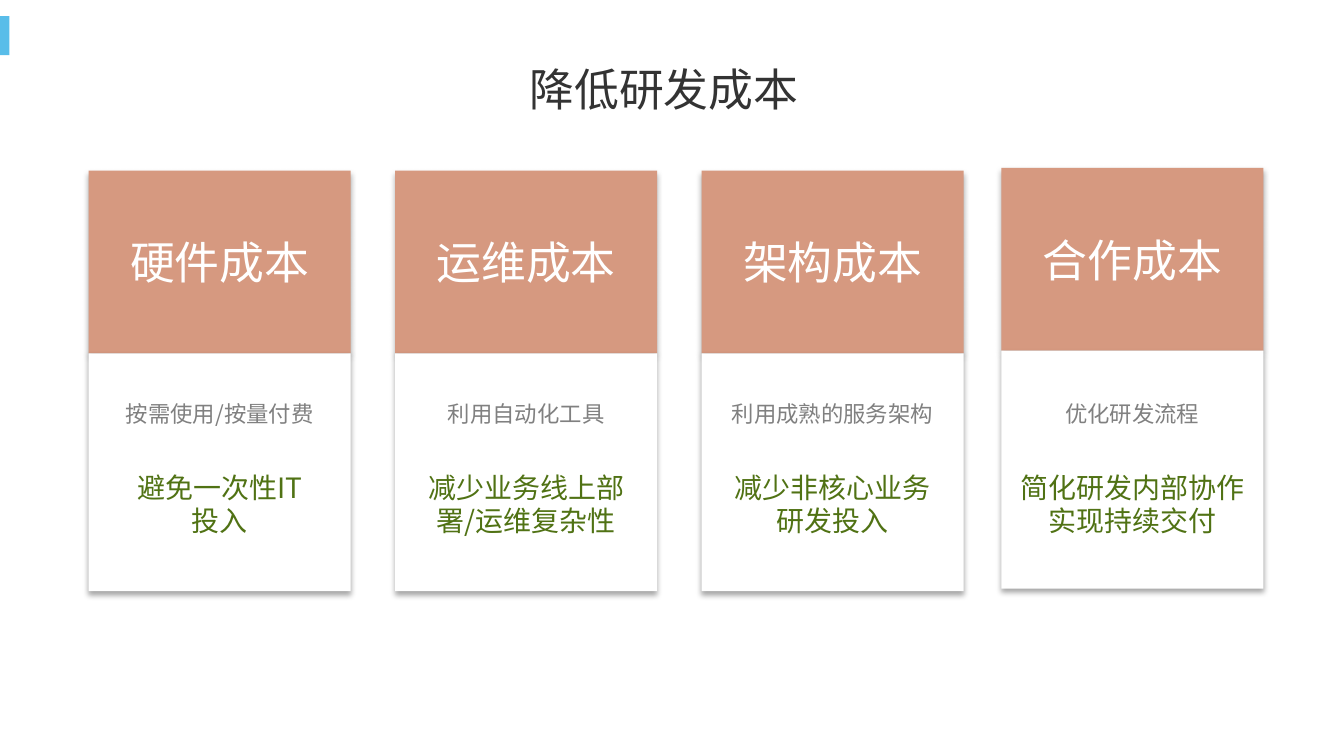
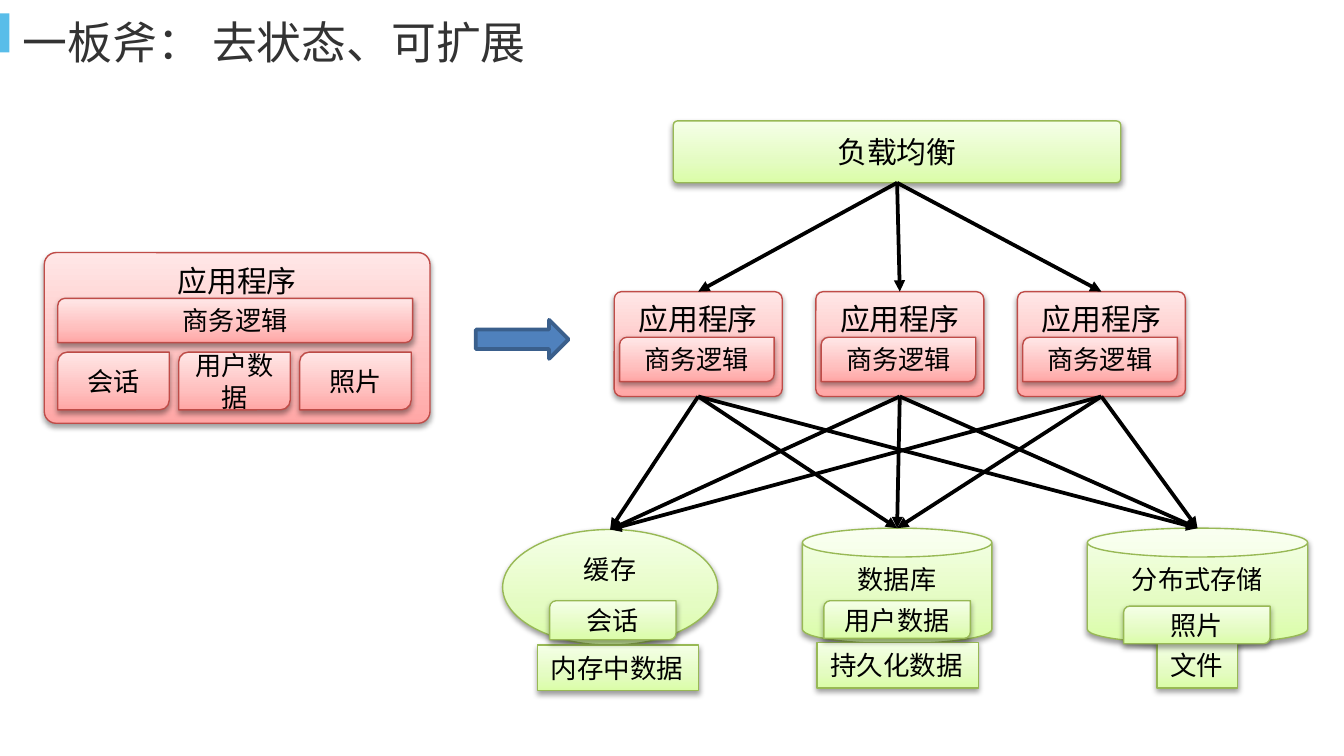
from dataclasses import dataclass

from lxml.etree import SubElement
from pptx import Presentation
from pptx.dml.color import RGBColor
from pptx.enum.shapes import MSO_CONNECTOR, MSO_SHAPE as Kind
from pptx.enum.text import MSO_ANCHOR as Anchor, MSO_AUTO_SIZE as AutoSize, PP_ALIGN as Align
from pptx.oxml.ns import qn
from pptx.shapes.autoshape import Shape
from pptx.shapes.connector import Connector
from pptx.slide import Slide
from pptx.util import Inches, Pt

CJK_FONT = "Noto Sans CJK SC"
LATIN_FONT = "Calibri"

BLACK = RGBColor(0x00, 0x00, 0x00)
WHITE = RGBColor(0xFF, 0xFF, 0xFF)
TITLE_GRAY = RGBColor(0x33, 0x33, 0x33)
NOTE_GRAY = RGBColor(0x80, 0x80, 0x80)
CLAIM_GREEN = RGBColor(0x50, 0x72, 0x14)
ACCENT_BLUE = RGBColor(0x59, 0xBD, 0xE9)
CARD_ORANGE = RGBColor(0xD6, 0x99, 0x80)
ARROW_BLUE = RGBColor(0x4F, 0x81, 0xBD)
ARROW_EDGE = RGBColor(0x3A, 0x5F, 0x8C)

CARD_WIDTH = 1.95
HEAD_HEIGHT = 1.36
BODY_HEIGHT = 1.77
PILL_HEIGHT = 0.33
CORNER = 0.07


@dataclass(frozen=True)
class Theme:
    stops: tuple[tuple[int, RGBColor], ...]
    edge: RGBColor


RED = Theme(
    ((0, RGBColor(0xFF, 0xA6, 0xA5)), (35, RGBColor(0xFF, 0xC0, 0xBF)),
     (100, RGBColor(0xFF, 0xE7, 0xE7))),
    RGBColor(0xBF, 0x4C, 0x48),
)
GREEN = Theme(
    ((0, RGBColor(0xDA, 0xFD, 0xA7)), (35, RGBColor(0xE4, 0xFC, 0xC2)),
     (100, RGBColor(0xF5, 0xFF, 0xE7))),
    RGBColor(0x98, 0xB9, 0x55),
)


@dataclass(frozen=True)
class Card:
    left: float
    top: float
    head: str
    note: str
    claim: str
    note_width: float
    claim_width: float


@dataclass(frozen=True)
class Box:
    kind: Kind
    left: float
    top: float
    width: float
    height: float
    text: str
    size: float = 14
    anchor: Anchor = Anchor.MIDDLE


@dataclass(frozen=True)
class Store:
    body: Box
    tag: Box
    pill: Box


CARDS = (
    Card(0.66, 1.27, "硬件成本", "按需使用/按量付费", "避免一次性IT投入", 1.58, 1.58),
    Card(2.94, 1.27, "运维成本", "利用自动化工具", "减少业务线上部署/运维复杂性", 1.71, 1.71),
    Card(5.22, 1.27, "架构成本", "利用成熟的服务架构", "减少非核心业务研发投入", 1.7, 1.7),
    Card(7.45, 1.25, "合作成本", "优化研发流程", "简化研发内部协作\n实现持续交付", 1.7, 1.84),
)


def pill(left: float, top: float, width: float, height: float, text: str) -> Box:
    return Box(Kind.ROUND_2_DIAG_RECTANGLE, left, top, width, height, text)


def application(left: float, top: float, width: float, height: float) -> Box:
    return Box(Kind.ROUNDED_RECTANGLE, left, top, width, height, "应用程序", 16, Anchor.TOP)


def store_body(kind: Kind, left: float, top: float, width: float, text: str) -> Box:
    return Box(kind, left, top, width, 0.86, text, anchor=Anchor.TOP)


def tag(left: float, top: float, width: float, text: str) -> Box:
    return Box(Kind.RECTANGLE, left, top, width, 0.34, text, 14.2, Anchor.TOP)


STORES = (
    Store(store_body(Kind.OVAL, 3.74, 3.94, 1.6, "缓存"),
          tag(4, 4.8, 1.2, "内存中数据"), pill(4.09, 4.47, 0.94, 0.29, "会话")),
    Store(store_body(Kind.CAN, 5.97, 3.93, 1.41, "数据库"),
          tag(6.08, 4.78, 1.2, "持久化数据"), pill(6.13, 4.47, 1.09, 0.28, "用户数据")),
    Store(store_body(Kind.CAN, 8.09, 3.93, 1.64, "分布式存储"),
          tag(8.61, 4.78, 0.6, "文件"), pill(8.36, 4.51, 1.09, 0.28, "照片")),
)


def write(shape: Shape, text: str, size: float, color: RGBColor, font: str = CJK_FONT,
          align: Align = Align.CENTER, anchor: Anchor = Anchor.TOP) -> None:
    frame = shape.text_frame
    frame.text = text
    frame.word_wrap = True
    frame.vertical_anchor = anchor
    for para in frame.paragraphs:
        para.alignment = align
        for span in para.runs:
            span.font.size = Pt(size)
            span.font.color.rgb = color
            span.font.name = font
            properties = span.font._element
            SubElement(properties, qn("a:ea"), typeface=CJK_FONT)


def set_insets(shape: Shape) -> None:
    frame = shape.text_frame
    frame.margin_left = frame.margin_right = Inches(0.08)
    frame.margin_top = frame.margin_bottom = Inches(0.04)


def add_color(parent, color: RGBColor):
    return SubElement(parent, qn("a:srgbClr"), val=str(color))


def cast_shadow(shape: Shape, opacity: int, distance: float) -> None:
    shape.shadow.inherit = False
    effects = shape._element.spPr.find(qn("a:effectLst"))
    shadow = SubElement(effects, qn("a:outerShdw"), blurRad=str(Pt(3.1)),
                        dist=str(Pt(distance)), dir="5400000", rotWithShape="0")
    SubElement(add_color(shadow, BLACK), qn("a:alpha"), val=str(opacity * 1000))


def fill_gradient(shape: Shape, theme: Theme) -> None:
    shape.fill.gradient()
    shape.fill.gradient_angle = 90
    stops = shape._element.spPr.find(qn("a:gradFill")).find(qn("a:gsLst"))
    for stop in list(stops):
        stops.remove(stop)
    for position, color in theme.stops:
        add_color(SubElement(stops, qn("a:gs"), pos=str(position * 1000)), color)


def add_rect(page: Slide, left: float, top: float, width: float, height: float,
             color: RGBColor) -> Shape:
    rect = page.shapes.add_shape(Kind.RECTANGLE, Inches(left), Inches(top),
                                 Inches(width), Inches(height))
    rect.fill.solid()
    rect.fill.fore_color.rgb = color
    rect.line.fill.background()
    rect.shadow.inherit = False
    return rect


def add_page(deck: Presentation, title: str, left: float, top: float, width: float,
             bar_top: float) -> Slide:
    page = deck.slides.add_slide(deck.slide_layouts[5])
    add_rect(page, -0.01, bar_top, 0.08, 0.29, ACCENT_BLUE)
    heading = page.shapes.title
    heading.left, heading.top = Inches(left), Inches(top)
    heading.width, heading.height = Inches(width), Inches(0.5)
    write(heading, title, 24, TITLE_GRAY, align=Align.LEFT)
    heading.text_frame.auto_size = AutoSize.SHAPE_TO_FIT_TEXT
    return page


def add_caption(page: Slide, center: float, top: float, width: float, height: float,
                text: str, size: float, color: RGBColor) -> None:
    caption = page.shapes.add_textbox(Inches(center - width / 2), Inches(top),
                                      Inches(width), Inches(height))
    write(caption, text, size, color)
    set_insets(caption)
    caption.text_frame.auto_size = AutoSize.SHAPE_TO_FIT_TEXT


def add_card(page: Slide, card: Card) -> None:
    head = add_rect(page, card.left, card.top, CARD_WIDTH, HEAD_HEIGHT, CARD_ORANGE)
    write(head, card.head, 24, WHITE, anchor=Anchor.MIDDLE)
    set_insets(head)
    body = add_rect(page, card.left, card.top + HEAD_HEIGHT, CARD_WIDTH, BODY_HEIGHT, WHITE)
    for part in (head, body):
        cast_shadow(part, 35, 1.8)
    center = card.left + CARD_WIDTH / 2
    add_caption(page, center, 2.94, card.note_width, 0.28, card.note, 12, NOTE_GRAY)
    add_caption(page, center, 3.46, card.claim_width, 0.58, card.claim, 15, CLAIM_GREEN)


def add_box(shapes, box: Box, theme: Theme) -> Shape:
    shape = shapes.add_shape(box.kind, Inches(box.left), Inches(box.top),
                             Inches(box.width), Inches(box.height))
    if box.kind == Kind.ROUNDED_RECTANGLE:
        shape.adjustments[0] = CORNER
    fill_gradient(shape, theme)
    shape.line.color.rgb = theme.edge
    shape.line.width = Pt(0.75)
    cast_shadow(shape, 38, 1.6)
    is_tag = box.kind == Kind.RECTANGLE
    write(shape, box.text, box.size, BLACK, LATIN_FONT,
          Align.LEFT if is_tag else Align.CENTER, box.anchor)
    if is_tag:
        shape.text_frame.word_wrap = False
        shape.text_frame.auto_size = AutoSize.SHAPE_TO_FIT_TEXT
    return shape


def add_group(page: Slide, boxes: tuple[Box, ...], theme: Theme) -> Shape:
    """Draw the boxes as one group and return the first of them."""
    group = page.shapes.add_group_shape()
    return [add_box(group.shapes, box, theme) for box in boxes][0]


def add_arrow(page: Slide, source: Shape, target: Shape) -> Connector:
    """Draw an arrow from the bottom of source to the top of target."""
    arrow = page.shapes.add_connector(
        MSO_CONNECTOR.STRAIGHT,
        source.left + source.width // 2, source.top + source.height,
        target.left + target.width // 2, target.top)
    arrow.begin_connect(source, 2)
    arrow.line.color.rgb = BLACK
    arrow.line.width = Pt(2)
    properties = arrow._element.spPr
    SubElement(properties.find(qn("a:ln")), qn("a:tailEnd"), type="triangle")
    SubElement(properties, qn("a:effectLst"))
    return arrow


def build_cost_page(deck: Presentation) -> None:
    page = add_page(deck, "降低研发成本", 3.84, 0.41, 2.52, 0.12)
    for card in CARDS:
        add_card(page, card)


def build_scaling_page(deck: Presentation) -> None:
    page = add_page(deck, "一板斧： 去状态、可扩展", 0.07, 0.06, 5.04, 0.1)

    states = tuple(pill(0.43 + 0.9 * index, 2.62, 0.83, 0.43, text)
                   for index, text in enumerate(("会话", "用户数据", "照片")))
    logic = pill(0.43, 2.22, 2.64, PILL_HEIGHT, "商务逻辑")
    add_group(page, (application(0.33, 1.88, 2.87, 1.27), *states, logic), RED)

    stores = [add_group(page, (store.body, store.tag, store.pill), GREEN) for store in STORES]
    workers = []
    for index in range(3):
        left = 4.57 + 1.5 * index
        workers.append(add_group(page, (
            application(left, 2.17, 1.25, 0.78),
            pill(left + 0.04, 2.51, 1.15, PILL_HEIGHT, "商务逻辑")), RED))
    balancer = add_box(page.shapes, Box(Kind.ROUNDED_RECTANGLE, 5.01, 0.9, 3.33, 0.46,
                                        "负载均衡", 16), GREEN)

    for worker in workers:
        add_arrow(page, balancer, worker).end_connect(worker, 0)
        for store in stores:
            add_arrow(page, worker, store)

    step = page.shapes.add_shape(Kind.RIGHT_ARROW, Inches(3.54), Inches(2.38),
                                 Inches(0.69), Inches(0.29))
    step.shadow.inherit = False
    step.fill.solid()
    step.fill.fore_color.rgb = ARROW_BLUE
    step.line.color.rgb = ARROW_EDGE
    step.line.width = Pt(2)


def main() -> None:
    deck = Presentation()
    deck.slide_width = Inches(10)
    deck.slide_height = deck.slide_width * 9 // 16
    build_cost_page(deck)
    build_scaling_page(deck)
    deck.save("out.pptx")


if __name__ == "__main__":
    main()
